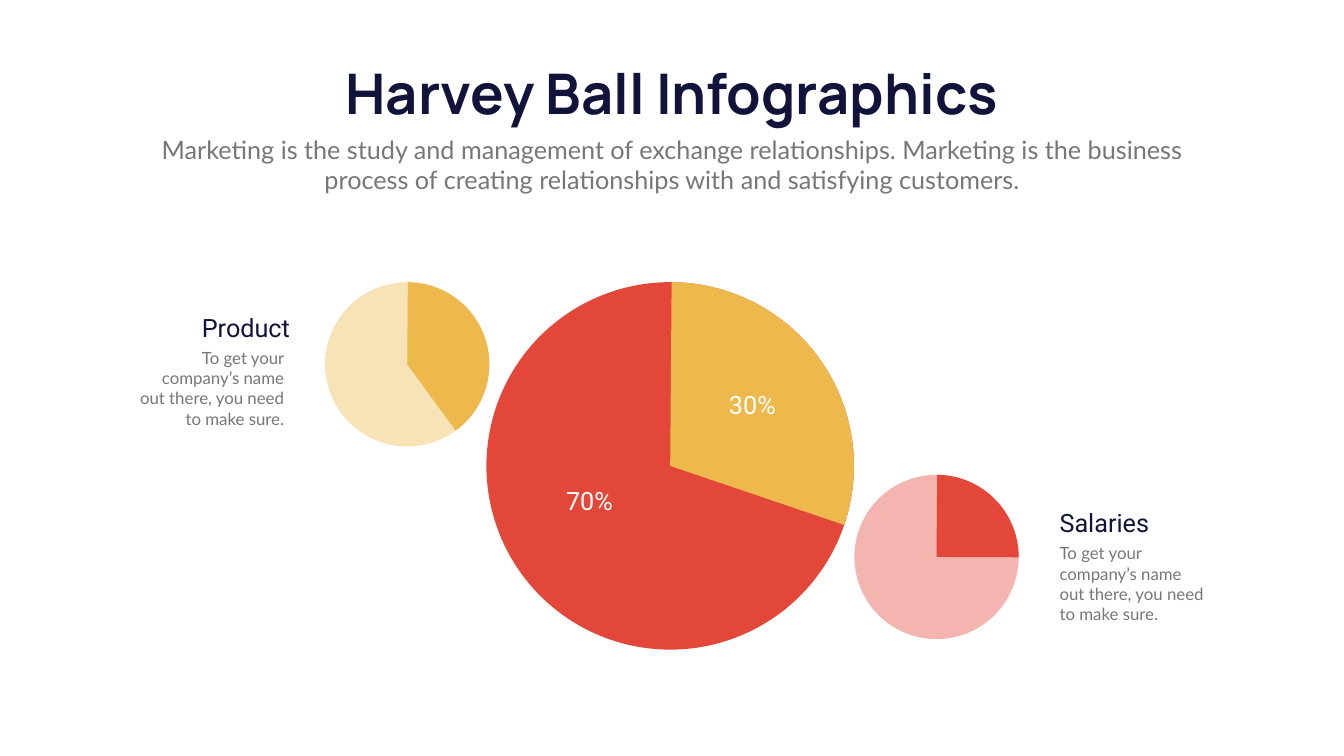
import pptx
import pptx.dml.color
import pptx.enum.shapes
import pptx.enum.text
import pptx.util

Cm = pptx.util.Cm
SHAPE = pptx.enum.shapes.MSO_SHAPE
ALIGN = pptx.enum.text.PP_ALIGN
NAVY, GRAY, WHITE = "11133A", "777678", "FFFFFF"
RED, YELLOW = "E34739", "EEB94C"


def color(value):
    return pptx.dml.color.RGBColor.from_string(value)


def add_text(text, left, top, width, height, size, font, fill, align, bold=False, wrap=True):
    shape = slide.shapes.add_textbox(Cm(left), Cm(top), Cm(width), Cm(height))
    text_frame = shape.text_frame
    text_frame.word_wrap = wrap
    text_frame.auto_size = pptx.enum.text.MSO_AUTO_SIZE.SHAPE_TO_FIT_TEXT
    text_frame.text = text
    paragraph = text_frame.paragraphs[0]
    paragraph.alignment = align
    run = paragraph.runs[0]
    run.font.size = pptx.util.Pt(size)
    run.font.name = font
    run.font.bold = bold
    run.font.color.rgb = color(fill)


presentation = pptx.Presentation()
presentation.slide_width = Cm(67.72)
presentation.slide_height = Cm(38.1)
slide = presentation.slides.add_slide(presentation.slide_layouts[6])
slide.background.fill.solid()
slide.background.fill.fore_color.rgb = color(WHITE)

balls = [
    (24.51, 14.22, 18.52, RED, YELLOW, 18.74),
    (16.38, 14.22, 8.28, "F8E3B7", YELLOW, 53.89),
    (43.05, 23.93, 8.28, "F4B5B0", RED, 0.23),
]
for left, top, diameter, base_color, slice_color, end_angle in balls:
    for kind, fill in ((SHAPE.OVAL, base_color), (SHAPE.PIE, slice_color)):
        shape = slide.shapes.add_shape(kind, Cm(left), Cm(top), Cm(diameter), Cm(diameter))
        shape.shadow.inherit = False
        shape.fill.solid()
        shape.fill.fore_color.rgb = color(fill)
        shape.line.fill.background()
    degree = 0.6
    shape.adjustments[0] = 270.45 * degree
    shape.adjustments[1] = end_angle * degree

add_text("Harvey Ball Infographics", 15.6, 2.84, 36.5, 3.68, 80, "Manrope", NAVY,
         ALIGN.CENTER, bold=True, wrap=False)
add_text("Marketing is the study and management of exchange relationships. "
         "Marketing is the business process of creating relationships with "
         "and satisfying customers.",
         7.42, 6.63, 52.88, 3.33, 36, "Lato", GRAY, ALIGN.CENTER)

for heading, left, top, align in (
    ("Product", 6.58, 15.6, ALIGN.RIGHT),
    ("Salaries", 53.14, 25.45, ALIGN.LEFT),
):
    add_text("To get your company’s name out there, you need to make sure.",
             left, top + 1.8, 7.98, 4.37, 24, "Lato", GRAY, align)
    add_text(heading, left, top, 8.28, 1.8, 36, "Roboto", NAVY, align)

for label, left, top in (("70%", 27.81, 24.33), ("30%", 36.02, 19.51)):
    add_text(label, left, top, 3.78, 1.8, 36, "Roboto", WHITE, ALIGN.CENTER)

presentation.save("out.pptx")
